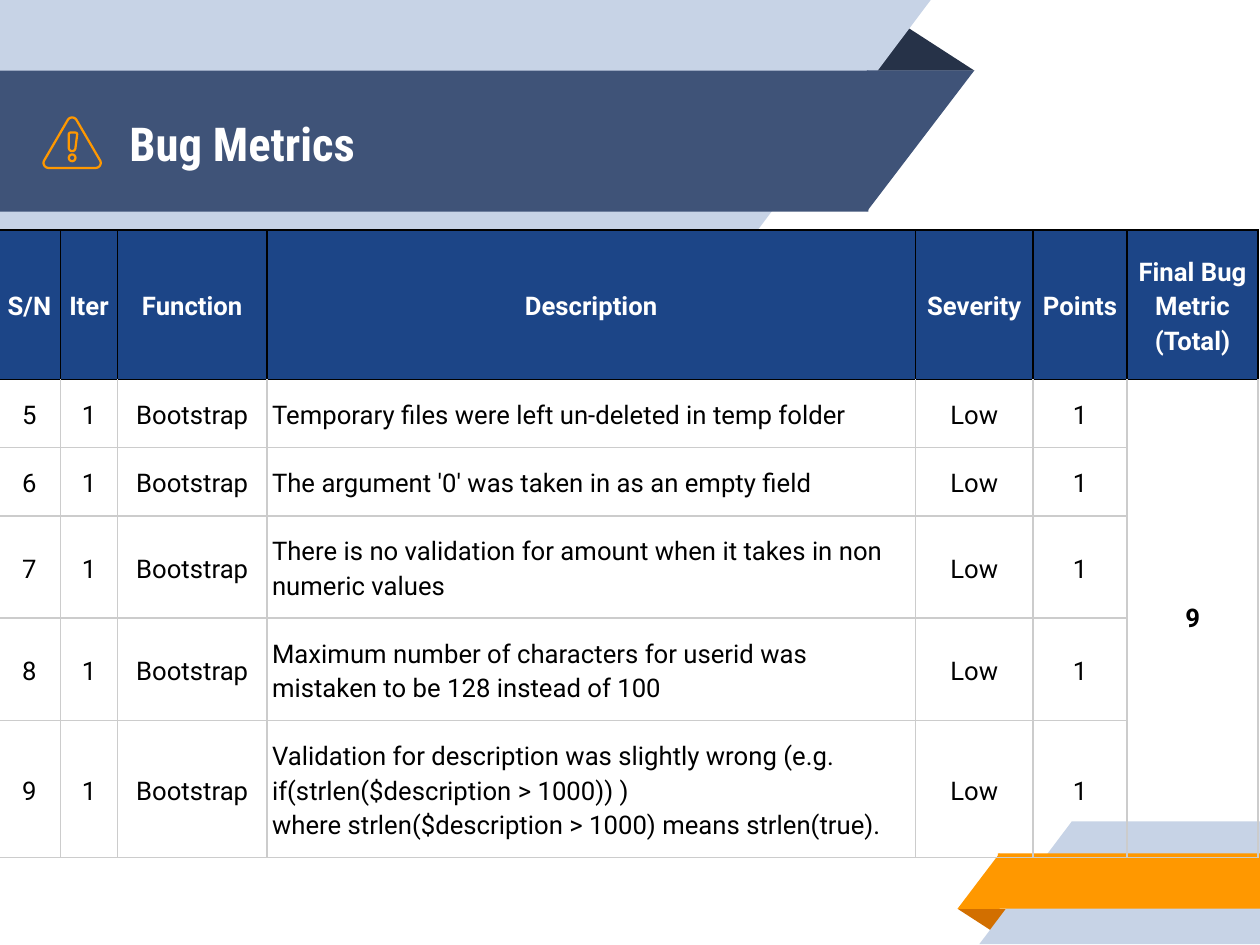
from math import cos, radians, sin

from lxml.etree import SubElement
from pptx import Presentation
from pptx.dml.color import RGBColor
from pptx.enum.shapes import MSO_SHAPE
from pptx.enum.text import MSO_ANCHOR, MSO_AUTO_SIZE, PP_ALIGN
from pptx.oxml.ns import qn
from pptx.util import Inches, Pt

COLORS = {
    "pale": "C7D3E6", "navy": "3F5378", "fold": "263248",
    "orange": "FF9800", "rust": "D26F00", "header": "1C4587",
    "grid": "CCCCCC", "black": "000000", "white": "FFFFFF",
}


def write_paragraph(paragraph, text, **format_values):
    run = paragraph.add_run()
    run.text = text
    run.font.color.rgb = RGBColor.from_string(COLORS[format_values.pop("color")])
    for name, value in format_values.items():
        setattr(run.font, name, value)


def set_borders(cell, colors):
    properties = cell._tc.get_or_add_tcPr()
    for position, (side, color) in enumerate(colors.items()):
        line = properties.makeelement(qn(f"a:{side}"), w=str(Pt(0.75)))
        fill = SubElement(line, qn("a:solidFill"))
        SubElement(fill, qn("a:srgbClr"), val=COLORS[color])
        properties.insert(position, line)


# Slide in 4:3 format
presentation = Presentation()
presentation.slide_width = Inches(7.5)
presentation.slide_height = Inches(7.5) * 3 // 4
slide = presentation.slides.add_slide(presentation.slide_layouts[5])

# Ribbons: kind, left, top, width, height, color, mirroring, rotation
TRIANGLE, RECTANGLE, CORNER = (
    MSO_SHAPE.ISOSCELES_TRIANGLE, MSO_SHAPE.RECTANGLE, MSO_SHAPE.RIGHT_TRIANGLE)
ribbons = [
    (TRIANGLE, 5.7, 5.41, 0.32, 0.14, "rust", None, 180),
    (RECTANGLE, 6.38, 4.89, 1.13, 0.73, "pale", None, 0),
    (CORNER, 5.83, 4.89, 0.55, 0.73, "pale", "flipH", 0),
    (RECTANGLE, 5.94, 5.08, 1.56, 0.33, "orange", None, 0),
    (CORNER, 5.7, 5.08, 0.25, 0.33, "orange", "flipH", 0),
    (TRIANGLE, 5.16, 0.14, 0.64, 0.28, "fold", None, 0),
    (RECTANGLE, 0, 0, 4.46, 1.45, "pale", None, 0),
    (CORNER, 4.45, 0, 1.09, 1.45, "pale", "flipV", 0),
    (RECTANGLE, 0, 0.42, 5.17, 0.84, "navy", None, 0),
    (CORNER, 5.16, 0.42, 0.64, 0.84, "navy", "flipV", 0),
]
for kind, left, top, width, height, color, mirror, rotation in ribbons:
    shape = slide.shapes.add_shape(
        kind, Inches(left), Inches(top), Inches(width), Inches(height))
    shape.shadow.inherit = False
    shape.fill.solid()
    shape.fill.fore_color.rgb = RGBColor.from_string(COLORS[color])
    shape.line.fill.background()
    shape.rotation = rotation
    if kind == TRIANGLE:
        shape.adjustments[0] = 0.324
    if mirror:
        shape._element.spPr.find(qn("a:xfrm")).set(mirror, "1")

# Title, raised above the ribbons
title = slide.shapes.title
slide.shapes._spTree.append(title._element)
title.left, title.top = Inches(0.67), Inches(0.43)
title.width, title.height = Inches(4.5), Inches(0.84)
frame_format = {
    "margin_left": Inches(0.1), "margin_right": Inches(0.1),
    "margin_top": Inches(0.1), "margin_bottom": Inches(0.1),
    "vertical_anchor": MSO_ANCHOR.MIDDLE, "word_wrap": True,
    "auto_size": MSO_AUTO_SIZE.NONE,
}
for name, value in frame_format.items():
    setattr(title.text_frame, name, value)
heading = title.text_frame.paragraphs[0]
heading.alignment = PP_ALIGN.LEFT
write_paragraph(heading, "Bug Metrics", color="white", name="Roboto Condensed",
                size=Pt(20), bold=True)

# Bug table
headers = ["S/N", "Iter", "Function", "Description", "Severity", "Points",
           "Final Bug Metric\n(Total)"]
descriptions = [
    "Temporary files were left un-deleted in temp folder",
    "The argument '0' was taken in as an empty field",
    "There is no validation for amount when it takes in non numeric values",
    "Maximum number of characters for userid was mistaken to be 128 instead of 100",
    "Validation for description was slightly wrong (e.g. if(strlen($description > 1000)) )\n"
    "where strlen($description > 1000) means strlen(true).",
]
rows = [headers] + [
    [str(number), "1", "Bootstrap", description, "Low", "1", "9" if number == 5 else ""]
    for number, description in enumerate(descriptions, start=5)
]
column_widths = [0.37, 0.34, 0.89, 3.86, 0.7, 0.56, 0.78]
row_heights = [0.89, 0.35, 0.35, 0.53, 0.53, 0.71]
table = slide.shapes.add_table(
    len(rows), len(headers), Inches(-0.01), Inches(1.37), Inches(7.51), Inches(3.72)).table
table.first_row = True
table.horz_banding = False
for column, width in zip(table.columns, column_widths):
    column.width = Inches(width)
for row, height in zip(table.rows, row_heights):
    row.height = Inches(height)
table.cell(1, 6).merge(table.cell(5, 6))

cell_format = {
    "margin_left": Inches(0.03), "margin_right": Inches(0.03),
    "margin_top": Inches(0.1), "margin_bottom": Inches(0.1),
    "vertical_anchor": MSO_ANCHOR.MIDDLE,
}
for row_index, values in enumerate(rows):
    is_header = row_index == 0
    for column_index, text in enumerate(values):
        cell = table.cell(row_index, column_index)
        is_total = column_index == 6 and not is_header
        for name, value in cell_format.items():
            setattr(cell, name, value)
        if is_header:
            cell.fill.solid()
            cell.fill.fore_color.rgb = RGBColor.from_string(COLORS["header"])
        else:
            cell.fill.background()
        side_color = "black" if is_header else "grid"
        set_borders(cell, {
            "lnL": side_color, "lnR": side_color,
            "lnT": "black" if row_index < 2 else "grid", "lnB": side_color})
        if not text:
            continue
        for line_index, line_text in enumerate(text.split("\n")):
            frame = cell.text_frame
            paragraph = frame.add_paragraph() if line_index else frame.paragraphs[0]
            is_description = column_index == 3 and not is_header
            paragraph.alignment = PP_ALIGN.LEFT if is_description else PP_ALIGN.CENTER
            paragraph.line_spacing = 1.0 if is_total else 1.15
            write_paragraph(paragraph, line_text, color="white" if is_header else "black",
                            name="Roboto", size=Pt(11), bold=is_header or is_total)

# Warning icon: each outline joins arcs (center x, center y, radius, from, to)
outlines = [
    [(0.43, 0.73, 0.03, 210, 330), (0.57, 0.97, 0.03, -30, 90), (0.29, 0.97, 0.03, 90, 210)],
    [(0.43, 0.94, 0.02, 0, 360)],
    [(0.42, 0.8, 0.01, 180, 270), (0.45, 0.8, 0.01, 270, 360), (0.43, 0.88, 0.02, 0, 180)],
]
builder = None
for outline in outlines:
    points = [
        (Inches(x + radius * cos(radians(start + (end - start) * step / 16))),
         Inches(y + radius * sin(radians(start + (end - start) * step / 16))))
        for x, y, radius, start, end in outline for step in range(17)
    ]
    if builder is None:
        builder = slide.shapes.build_freeform(*points[0], scale=1.0)
    else:
        builder.move_to(*points[0])
    builder.add_line_segments(points[1:], close=True)
icon = builder.convert_to_shape()
icon.shadow.inherit = False
icon.fill.background()
icon.line.color.rgb = RGBColor.from_string(COLORS["orange"])
icon.line.width = Pt(0.96)

presentation.save("out.pptx")
